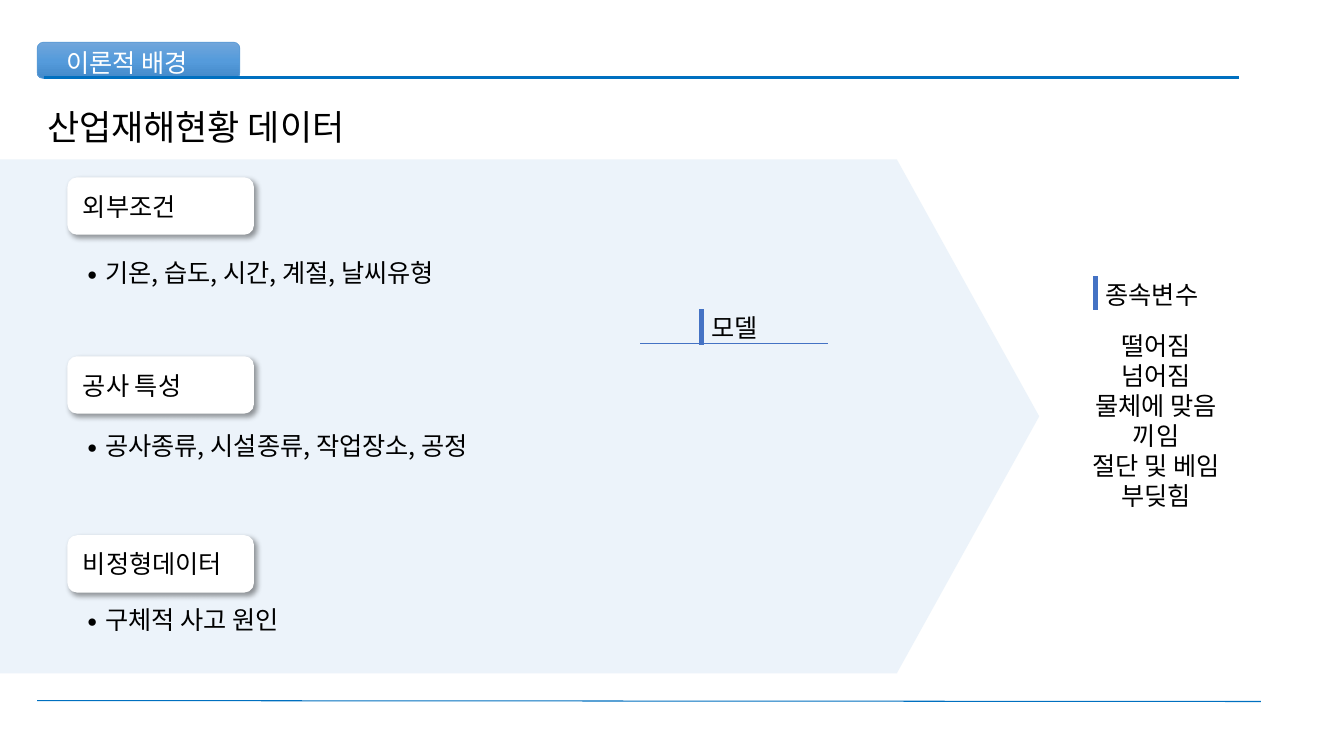
from dataclasses import dataclass

from lxml import etree
from pptx import Presentation
from pptx.dml.color import RGBColor
from pptx.enum.shapes import MSO_CONNECTOR, MSO_SHAPE
from pptx.enum.text import MSO_ANCHOR, MSO_AUTO_SIZE, PP_ALIGN
from pptx.oxml.ns import qn
from pptx.util import Pt

LEFT, CENTER = PP_ALIGN.LEFT, PP_ALIGN.CENTER
MIDDLE = MSO_ANCHOR.MIDDLE
NO_AUTOFIT = MSO_AUTO_SIZE.NONE
STRAIGHT = MSO_CONNECTOR.STRAIGHT
ROUNDED, ARROW = MSO_SHAPE.ROUNDED_RECTANGLE, MSO_SHAPE.RIGHT_ARROW


@dataclass(frozen=True)
class Theme:
    font: str = "Noto Sans CJK KR"
    title_size: float = 25
    text_size: float = 18
    line_height: float = 21.5
    text: str = "000000"
    white: str = "FFFFFF"
    rule: str = "0070C0"
    accent: str = "4472C4"
    arrow: str = "DEEBF7"
    tab_line: str = "5B9BD5"
    tab_gradient: tuple = ("71A6DB", "559BDB", "448ACA")


theme = Theme()


def place(shape, left, top, width, height):
    bounds = {"left": left, "top": top, "width": width, "height": height}
    for name, value in bounds.items():
        setattr(shape, name, Pt(value))


def write(shape, lines, size=theme.text_size, color=theme.text, align=LEFT, inset=7.2):
    """Fill the shape with one formatted, unbulleted paragraph per line."""
    frame = shape.text_frame
    frame.text = "\n".join(lines)
    frame_format = {
        "word_wrap": True, "auto_size": NO_AUTOFIT, "vertical_anchor": MIDDLE,
        "margin_left": Pt(inset), "margin_right": Pt(7.2),
        "margin_top": Pt(3.6), "margin_bottom": Pt(3.6),
    }
    for name, value in frame_format.items():
        setattr(frame, name, value)
    for paragraph in frame.paragraphs:
        paragraph.alignment = align
        paragraph.space_before = Pt(0)
        if len(lines) > 1:
            paragraph.line_spacing = Pt(theme.line_height)
        properties = paragraph.runs[0].font
        for name, value in {"name": theme.font, "size": Pt(size), "bold": False}.items():
            setattr(properties, name, value)
        properties.color.rgb = RGBColor.from_string(color)
        latin = paragraph.runs[0].font._element.find(qn("a:latin"))
        east_asian = etree.Element(qn("a:ea"), typeface=theme.font)
        latin.addnext(east_asian)
        layout = paragraph._p.get_or_add_pPr()
        layout.set("marL", "0")
        layout.set("indent", "0")
        etree.SubElement(layout, qn("a:buNone"))


presentation = Presentation()
presentation.slide_width, presentation.slide_height = Pt(960), Pt(540)
slide = presentation.slides.add_slide(presentation.slide_layouts[4])
shapes = slide.shapes
title, *bodies = slide.placeholders

# Background arrow, behind the placeholders
arrow = shapes.add_shape(ARROW, Pt(0), Pt(113.8), Pt(742.3), Pt(367.2))
arrow.adjustments[0], arrow.adjustments[1] = 1, 0.277
arrow.shadow.inherit = False
arrow.fill.solid()
arrow.fill.fore_color.rgb = RGBColor.from_string(theme.arrow)
arrow.line.fill.background()
arrow_color = arrow.element.spPr.find(qn("a:solidFill"))[0]
etree.SubElement(arrow_color, qn("a:alpha"), val="56000")
shapes.element.insert(2, arrow.element)

# Section tab
tab = shapes.add_shape(ROUNDED, Pt(26.6), Pt(30.2), Pt(144.7), Pt(25.9))
tab.shadow.inherit = False
tab.line.color.rgb = RGBColor.from_string(theme.tab_line)
tab.line.width = Pt(0.5)
tab.fill.gradient()
tab.fill.gradient_angle = 270
stops = tab.element.spPr.find(qn("a:gradFill")).find(qn("a:gsLst"))
for stop in list(stops):
    stops.remove(stop)
for index, color in enumerate(theme.tab_gradient):
    stop = etree.SubElement(stops, qn("a:gs"), pos=str(index * 50000))
    etree.SubElement(stop, qn("a:srgbClr"), val=color)

# Rules and accent bars
for x1, y1, x2, y2, color, width in (
    (31.7, 55.4, 884.9, 55.4, theme.rule, 1.5),
    (26.6, 500.4, 900.7, 501.1, theme.rule, 0.75),
    (457.2, 245.5, 591.1, 245.5, theme.accent, 0.5),
    (782.6, 197.3, 782.6, 221.8, theme.accent, 4),
    (501.1, 221, 501.1, 246.2, theme.accent, 4),
):
    line = shapes.add_connector(STRAIGHT, Pt(x1), Pt(y1), Pt(x2), Pt(y2))
    line.line.color.rgb = RGBColor.from_string(color)
    line.line.width = Pt(width)
    etree.SubElement(line.element.spPr, qn("a:effectLst"))

# Title and labels
place(title, 26.6, 72, 250.6, 37.4)
write(title, ["산업재해현황 데이터"], size=theme.title_size)
for text, bounds, color, align in (
    ("이론적 배경", (40.3, 30.2, 111.6, 28.8), theme.white, LEFT),
    ("모델", (494, 216.7, 61.2, 33.8), theme.text, CENTER),
    ("종속변수", (782.6, 195.8, 87.1, 28.8), theme.text, LEFT),
):
    label = shapes.add_textbox(*map(Pt, bounds))
    write(label, [text], color=color, align=align)

# Input groups: a heading card with a bulleted list below
groups = (
    ("외부조건", "기온, 습도, 시간, 계절, 날씨유형"),
    ("공사 특성", "공사종류, 시설종류, 작업장소, 공정"),
    ("비정형데이터", "구체적 사고 원인"),
)
for index, (heading, factors) in enumerate(groups):
    body = bodies[index]
    place(body, 48.2, 145.4 + index * 123.8, 360.7, 98.6)
    write(body, [factors], inset=12)
    layout = body.text_frame.paragraphs[0]._p.pPr
    layout.set("marL", str(Pt(15)))
    layout.set("indent", str(-Pt(15)))
    layout.remove(layout.find(qn("a:buNone")))
    etree.SubElement(layout, qn("a:buFont"), typeface=theme.font)
    etree.SubElement(layout, qn("a:buChar"), char="∙")

    card = shapes.add_shape(ROUNDED, Pt(48.2), Pt(126.7 + index * 127.8), Pt(133.2), Pt(41))
    card.fill.solid()
    card.fill.fore_color.rgb = RGBColor.from_string(theme.white)
    card.line.fill.background()
    card.shadow.inherit = False
    shadow = etree.SubElement(
        card.element.spPr.find(qn("a:effectLst")), qn("a:outerShdw"),
        blurRad=str(Pt(4)), dist=str(Pt(3)), dir="2700000", algn="tl", rotWithShape="0")
    shadow_color = etree.SubElement(shadow, qn("a:srgbClr"), val=theme.text)
    etree.SubElement(shadow_color, qn("a:alpha"), val="40000")
    write(card, [heading], inset=9)

# Dependent variable values
accidents = bodies[3]
place(accidents, 756, 226, 139.7, 149)
write(accidents, ["떨어짐", "넘어짐", "물체에 맞음", "끼임", "절단 및 베임", "부딪힘"], align=CENTER)

presentation.save("out.pptx")
